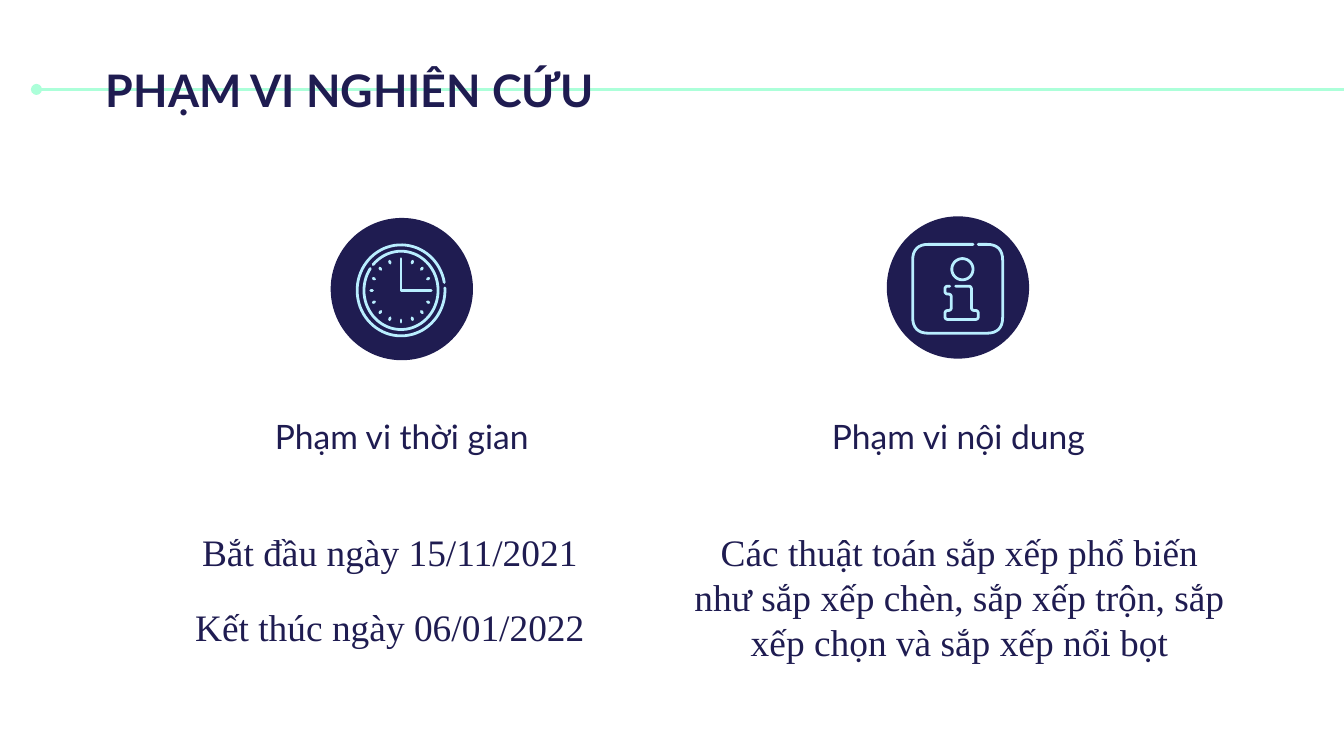
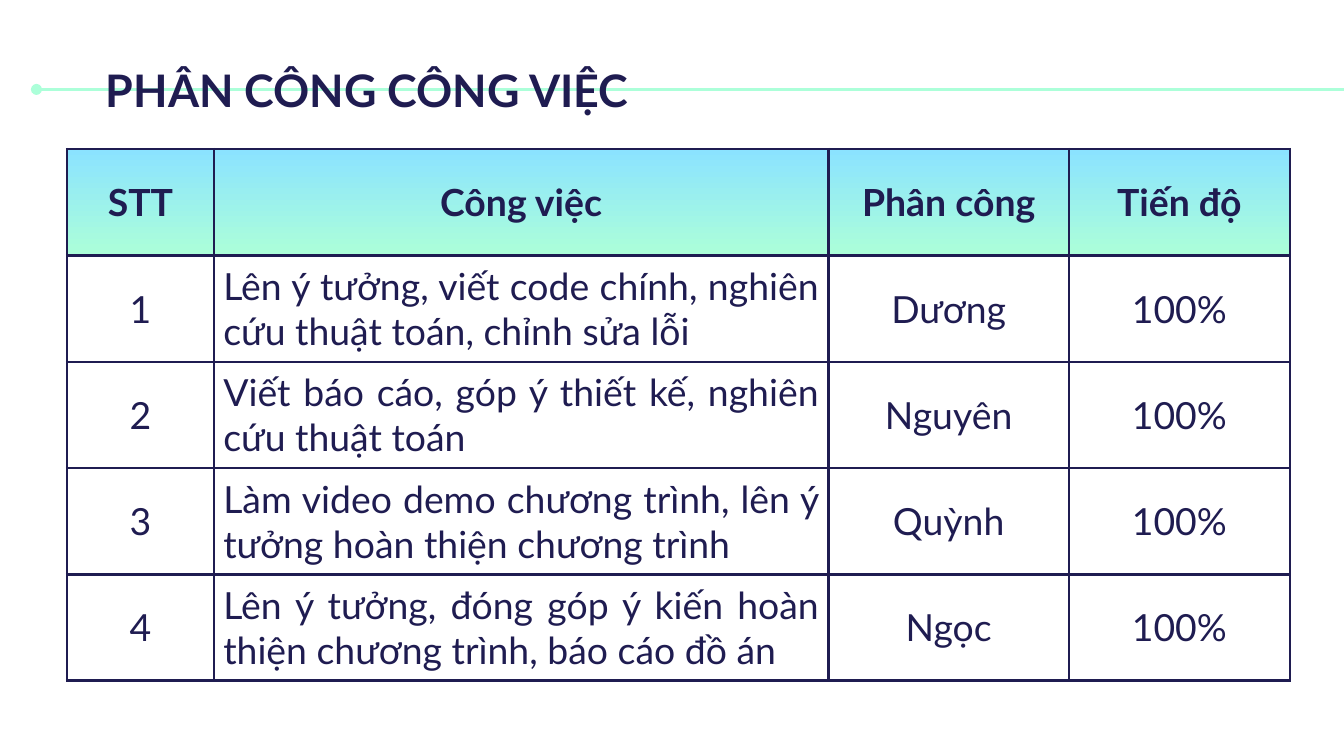
"""Build two slides: the scope of the study and the division of work."""
import math
from typing import NamedTuple

from lxml import etree
from pptx import Presentation
from pptx import util as u
from pptx.dml.color import RGBColor
from pptx.enum import shapes, text
from pptx.oxml.ns import qn

NAVY, MINT, SKY, ICE, WHITE = "1F1C51", "ACFFD9", "8BE3FF", "B9EEFF", "FFFFFF"
SANS, SERIF = "Lato", "Times New Roman"
CENTER, JUSTIFY = text.PP_ALIGN.CENTER, text.PP_ALIGN.JUSTIFY
BADGE_SIZE = 2.69
INSET = 0.25
Point = tuple[float, float]


class Box(NamedTuple):
    left: float
    top: float
    width: float
    height: float


class Scope(NamedTuple):
    heading: str
    details: list[str]
    badge: Box
    heading_box: Box
    details_box: Box
    strokes: list[list[Point]]


class Column(NamedTuple):
    heading: str
    width: float
    alignment: text.PP_ALIGN


class Task(NamedTuple):
    work: str
    member: str


def color(value: str) -> RGBColor:
    return RGBColor.from_string(value)


def lengths(box: Box) -> list[u.Cm]:
    return [u.Cm(value) for value in box]


def arc(center: Point, radii: Point, start: float, end: float) -> list[Point]:
    count = 72
    angles = [math.radians(start + (end - start) * i / count) for i in range(count + 1)]
    return [(center[0] + radii[0] * math.cos(a), center[1] + radii[1] * math.sin(a))
            for a in angles]


def rounded(corners: list[Point], radius: float) -> list[Point]:
    points = [corners[0]]
    for before, corner, after in zip(corners, corners[1:], corners[2:]):
        entry, leave = (
            tuple(c + (n - c) * radius / math.dist(corner, near) for c, n in zip(corner, near))
            for near in (before, after))
        for step in range(9):
            t = step / 8
            points.append(tuple((1 - t) ** 2 * a + 2 * t * (1 - t) * c + t ** 2 * b
                                for a, c, b in zip(entry, corner, leave)))
    return points + [corners[-1]]


def clock_strokes() -> list[list[Point]]:
    center = x, y = 7.58, 5.49
    strokes = [
        arc(center, (0.83, 0.86), -3, 350),
        arc(center, (0.7, 0.74), 221, 574),
        [(x, y - 0.6), (x, y), (x + 0.57, y)],
    ]
    for index in range(16):
        if index not in (0, 12):
            angle = math.radians(index * 22.5)
            strokes.append([(x + rx * math.cos(angle), y + ry * math.sin(angle))
                            for rx, ry in ((0.54, 0.56), (0.57, 0.6))])
    return strokes


def info_strokes() -> list[list[Point]]:
    frame = [(18.49, 4.62), (18.95, 4.62), (18.95, 6.3), (17.25, 6.3), (17.25, 4.62), (18.39, 4.62)]
    letter = [(18.06, 5.41), (18.36, 5.41), (18.36, 5.87), (18.49, 5.87), (18.49, 6.04),
              (17.86, 6.04), (17.86, 5.87), (17.98, 5.87), (17.98, 5.56), (17.86, 5.56),
              (17.86, 5.41), (17.95, 5.41)]
    return [rounded(frame, 0.3), arc((18.19, 5.09), (0.2, 0.2), 0, 360), rounded(letter, 0.06)]


SCOPES = [
    Scope("Phạm vi thời gian", ["Bắt đầu ngày 15/11/2021", "Kết thúc ngày 06/01/2022"],
          Box(6.25, 4.12, BADGE_SIZE, BADGE_SIZE), Box(4.52, 7.49, 6.15, 1.5),
          Box(2.57, 9.53, 9.6, 3.2), clock_strokes()),
    Scope("Phạm vi nội dung",
          ["Các thuật toán sắp xếp phổ biến như sắp xếp chèn, sắp xếp trộn, "
           "sắp xếp chọn và sắp xếp nổi bọt"],
          Box(16.76, 4.09, BADGE_SIZE, BADGE_SIZE), Box(15.04, 7.49, 6.15, 1.5),
          Box(12.85, 9.68, 10.57, 3.2), info_strokes()),
]

COLUMNS = [
    Column("STT", 2.77, CENTER),
    Column("Công việc", 11.62, JUSTIFY),
    Column("Phân công", 4.54, CENTER),
    Column("Tiến độ", 4.18, CENTER),
]
TASKS = [
    Task("Lên ý tưởng, viết code chính, nghiên cứu thuật toán, chỉnh sửa lỗi", "Dương"),
    Task("Viết báo cáo, góp ý thiết kế, nghiên cứu thuật toán", "Nguyên"),
    Task("Làm video demo chương trình, lên ý tưởng hoàn thiện chương trình", "Quỳnh"),
    Task("Lên ý tưởng, đóng góp ý kiến hoàn thiện chương trình, báo cáo đồ án", "Ngọc"),
]
PROGRESS = "100%"
ROW_HEIGHT = 2.01


def format_paragraph(paragraph, size: float, font: str, alignment: text.PP_ALIGN,
                     bold: bool = False, after: float = 0) -> None:
    paragraph.alignment = alignment
    paragraph.space_before, paragraph.space_after = u.Pt(0), u.Pt(after)
    for run in paragraph.runs:
        run.font.size, run.font.name, run.font.bold = u.Pt(size), font, bold
        run.font.color.rgb = color(NAVY)


def prepare_frame(frame, anchor: text.MSO_ANCHOR) -> None:
    frame.word_wrap, frame.auto_size = True, text.MSO_AUTO_SIZE.NONE
    frame.vertical_anchor = anchor
    frame.margin_left = frame.margin_right = u.Cm(INSET)
    frame.margin_top = frame.margin_bottom = u.Cm(INSET)


def add_titled_slide(presentation, title: str):
    slide = presentation.slides.add_slide(presentation.slide_layouts[5])
    shape = slide.shapes.title
    shape.left, shape.top, shape.width, shape.height = lengths(Box(1.75, 0.94, 16.89, 1.5))
    shape.text_frame.text = title
    prepare_frame(shape.text_frame, text.MSO_ANCHOR.TOP)
    format_paragraph(shape.text_frame.paragraphs[0], 24, SANS, text.PP_ALIGN.LEFT, bold=True)
    return slide


def add_layout_rule(slide) -> None:
    rule = slide.shapes.add_connector(
        shapes.MSO_CONNECTOR.STRAIGHT, u.Cm(0.69), u.Cm(1.69), u.Cm(25.65), u.Cm(1.69))
    rule.line.color.rgb, rule.line.width = color(MINT), u.Pt(1.5)
    properties = rule.element.spPr
    etree.SubElement(properties.find(qn("a:ln")), qn("a:headEnd"), type="oval")
    etree.SubElement(properties, qn("a:effectLst"))
    slide.slide_layout.shapes.element.append(rule.element)


def add_text(slide, box: Box, lines: list[str], size: float, font: str, after: float = 0) -> None:
    frame = slide.shapes.add_textbox(*lengths(box)).text_frame
    frame.text = "\n".join(lines)
    prepare_frame(frame, text.MSO_ANCHOR.MIDDLE)
    for paragraph in frame.paragraphs:
        format_paragraph(paragraph, size, font, CENTER, after=after)


def add_stroke(group, points: list[Point]) -> None:
    start, *rest = [(u.Cm(x), u.Cm(y)) for x, y in points]
    builder = group.shapes.build_freeform(*start)
    builder.add_line_segments(rest, close=False)
    stroke = builder.convert_to_shape()
    stroke.shadow.inherit = False
    stroke.fill.background()
    stroke.line.color.rgb, stroke.line.width = color(ICE), u.Pt(1.5)
    outline = stroke.element.spPr.find(qn("a:ln"))
    outline.set("cap", "rnd")
    etree.SubElement(outline, qn("a:round"))


def add_scope(slide, scope: Scope) -> None:
    add_text(slide, scope.details_box, scope.details, 20, SERIF, after=16)
    add_text(slide, scope.heading_box, [scope.heading], 18, SANS)
    group = slide.shapes.add_group_shape()
    badge = group.shapes.add_shape(shapes.MSO_SHAPE.OVAL, *lengths(scope.badge))
    badge.shadow.inherit = False
    badge.fill.solid()
    badge.fill.fore_color.rgb = color(NAVY)
    badge.line.fill.background()
    for points in scope.strokes:
        add_stroke(group, points)


def add_borders(cell) -> None:
    properties = cell._tc.get_or_add_tcPr()
    for index, side in enumerate(("lnL", "lnR", "lnT", "lnB")):
        border = etree.Element(qn(f"a:{side}"), w=str(u.Pt(1.5)))
        fill = etree.SubElement(border, qn("a:solidFill"))
        etree.SubElement(fill, qn("a:srgbClr"), val=NAVY)
        properties.insert(index, border)


def fill_cell(cell, content: str, alignment: text.PP_ALIGN, header: bool) -> None:
    cell.text_frame.text = content
    cell.vertical_anchor = text.MSO_ANCHOR.MIDDLE
    cell.margin_left = cell.margin_right = u.Cm(0.18)
    cell.margin_top = cell.margin_bottom = u.Cm(0)
    format_paragraph(cell.text_frame.paragraphs[0], 20, SANS, alignment, header, after=8)
    if header:
        cell.fill.gradient()
        cell.fill.gradient_angle = 270
        for stop, value in zip(cell.fill.gradient_stops, (SKY, MINT)):
            stop.color.rgb = color(value)
    else:
        cell.fill.solid()
        cell.fill.fore_color.rgb = color(WHITE)
    add_borders(cell)


def add_task_table(slide) -> None:
    rows = [[column.heading for column in COLUMNS]]
    rows += [[str(number), task.work, task.member, PROGRESS]
             for number, task in enumerate(TASKS, 1)]
    box = Box(1.27, 2.82, sum(column.width for column in COLUMNS), ROW_HEIGHT * len(rows))
    table = slide.shapes.add_table(len(rows), len(COLUMNS), *lengths(box)).table
    table.horz_banding = False
    for table_column, column in zip(table.columns, COLUMNS):
        table_column.width = u.Cm(column.width)
    for row_index, values in enumerate(rows):
        header = row_index == 0
        table.rows[row_index].height = u.Cm(ROW_HEIGHT)
        for column_index, (column, value) in enumerate(zip(COLUMNS, values)):
            fill_cell(table.cell(row_index, column_index), value,
                      CENTER if header else column.alignment, header)


def main() -> None:
    presentation = Presentation()
    presentation.slide_width, presentation.slide_height = u.Cm(25.4), u.Cm(14.29)
    scope_slide = add_titled_slide(presentation, "PHẠM VI NGHIÊN CỨU")
    add_layout_rule(scope_slide)
    for scope in reversed(SCOPES):
        add_scope(scope_slide, scope)
    add_task_table(add_titled_slide(presentation, "PHÂN CÔNG CÔNG VIỆC"))
    presentation.save("out.pptx")


if __name__ == "__main__":
    main()
